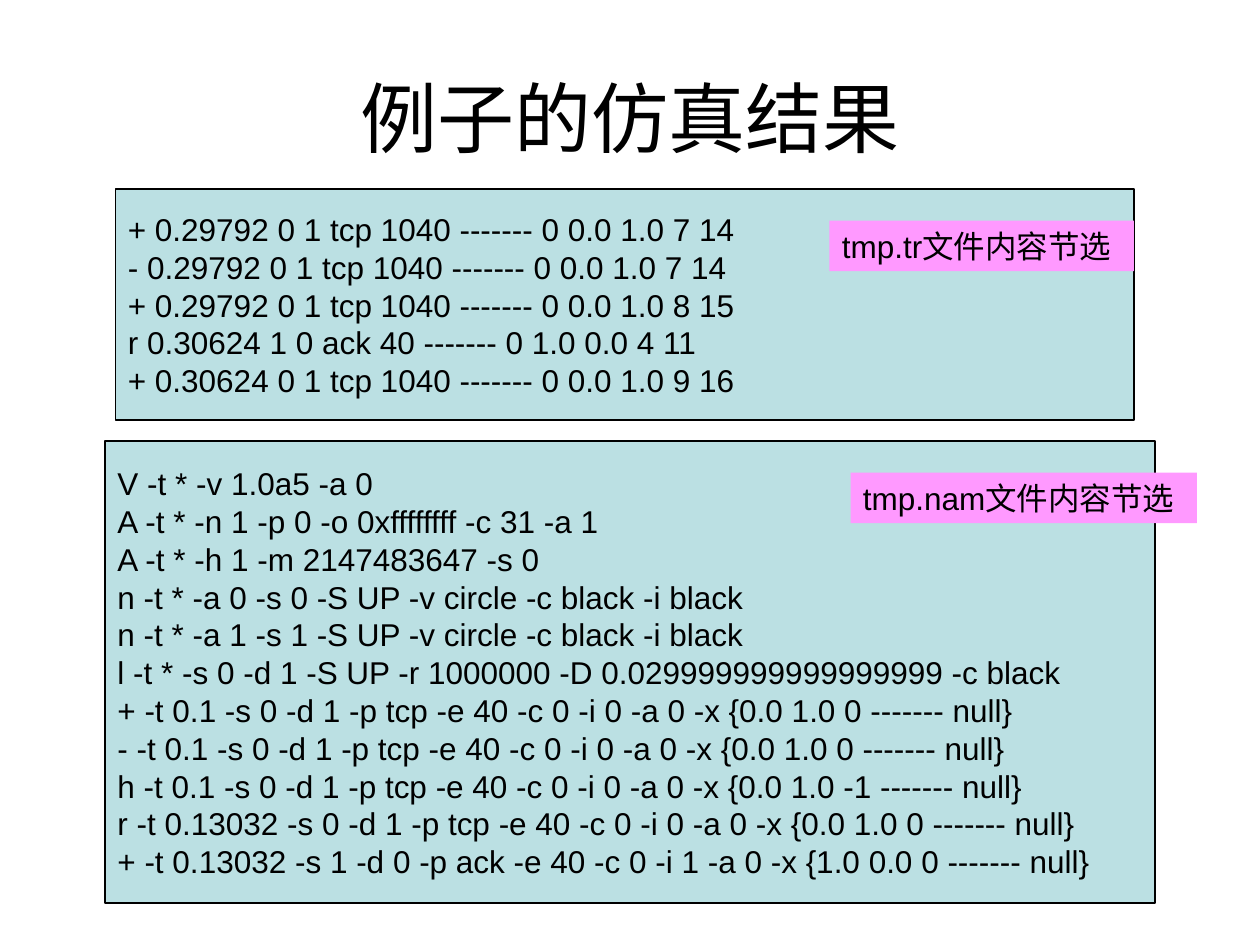
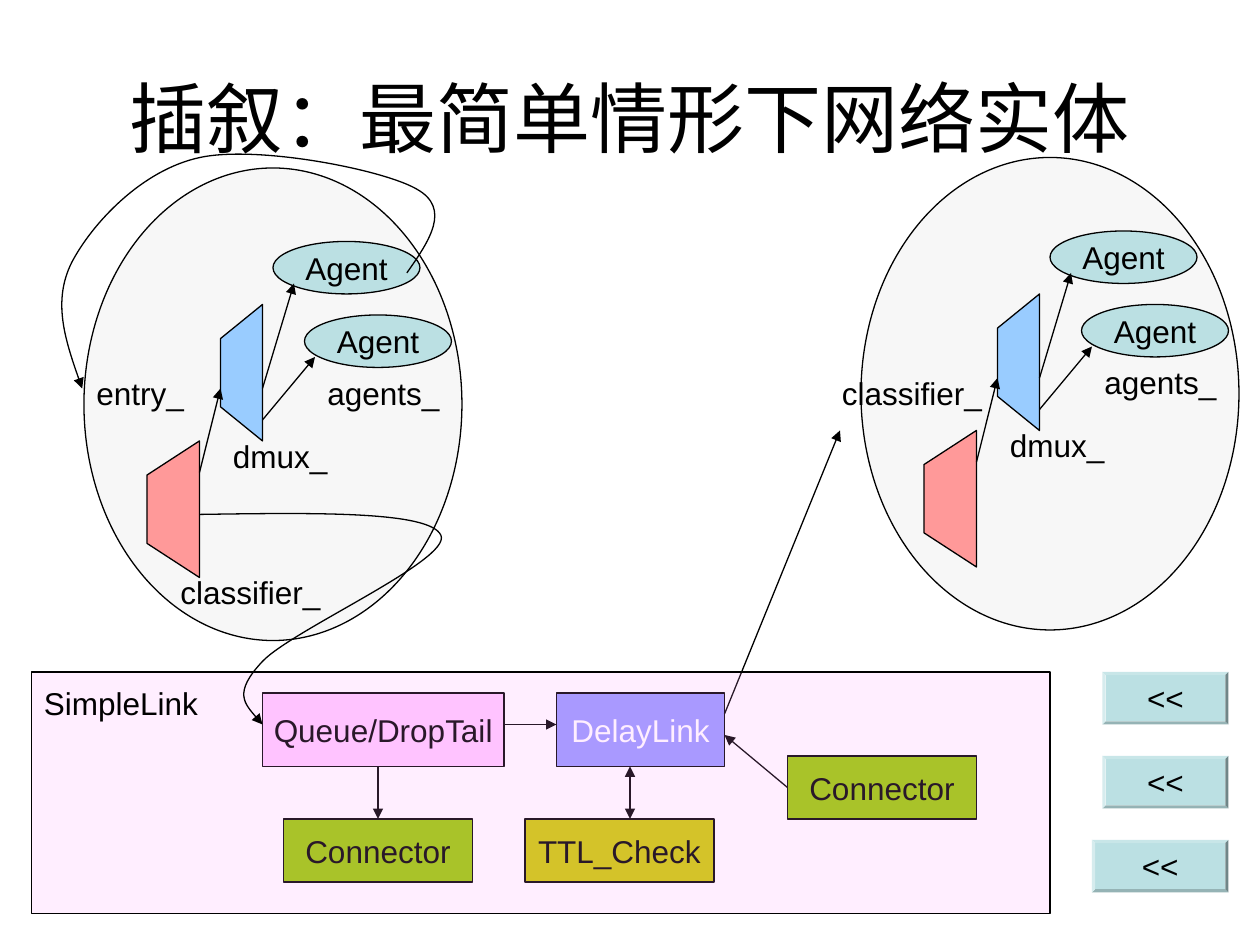
from pptx import Presentation
from pptx import util as u
from pptx.dml import color
from pptx.enum import shapes, text
from pptx.oxml import ns, xmlchemy as xml

Pt = u.Pt
KIND = shapes.MSO_SHAPE
ALIGN = text.PP_ALIGN
HUES = {
    "black": "000000", "white": "FFFFFF", "teal": "BBE0E3", "pink": "FF99FF",
    "rose": "FFCCFF", "violet": "9999FF", "gold": "CCCC00", "green": "99CC00",
    "red": "FF9999", "blue": "99CCFF", "gray": "C0C0C0",
}

TRACE = """+ 0.29792 0 1 tcp 1040 ------- 0 0.0 1.0 7 14
- 0.29792 0 1 tcp 1040 ------- 0 0.0 1.0 7 14
+ 0.29792 0 1 tcp 1040 ------- 0 0.0 1.0 8 15
r 0.30624 1 0 ack 40 ------- 0 1.0 0.0 4 11
+ 0.30624 0 1 tcp 1040 ------- 0 0.0 1.0 9 16"""

NAM = """V -t * -v 1.0a5 -a 0
A -t * -n 1 -p 0 -o 0xffffffff -c 31 -a 1
A -t * -h 1 -m 2147483647 -s 0
n -t * -a 0 -s 0 -S UP -v circle -c black -i black
n -t * -a 1 -s 1 -S UP -v circle -c black -i black
l -t * -s 0 -d 1 -S UP -r 1000000 -D 0.029999999999999999 -c black
+ -t 0.1 -s 0 -d 1 -p tcp -e 40 -c 0 -i 0 -a 0 -x {0.0 1.0 0 ------- null}
- -t 0.1 -s 0 -d 1 -p tcp -e 40 -c 0 -i 0 -a 0 -x {0.0 1.0 0 ------- null}
h -t 0.1 -s 0 -d 1 -p tcp -e 40 -c 0 -i 0 -a 0 -x {0.0 1.0 -1 ------- null}
r -t 0.13032 -s 0 -d 1 -p tcp -e 40 -c 0 -i 0 -a 0 -x {0.0 1.0 0 ------- null}
+ -t 0.13032 -s 1 -d 0 -p ack -e 40 -c 0 -i 1 -a 0 -x {1.0 0.0 0 ------- null}"""


def rgb(hue):
    return color.RGBColor.from_string(HUES[hue])


def child(node, tag, **attrs):
    item = xml.OxmlElement(tag)
    for key, value in attrs.items():
        item.set(key, value)
    node.append(item)
    return item


class Deck:
    font = "Arial"
    size = 18
    width = 0.75

    def __init__(self):
        self.prs = Presentation()
        self.prs.slide_width, self.prs.slide_height = Pt(720), Pt(540)

    def start(self, title):
        self.slide = self.prs.slides.add_slide(self.prs.slide_layouts[6])
        self.items = self.slide.shapes
        self.label(title, 36, 21.6, 648, 90, size=44, align=ALIGN.CENTER,
                   anchor=text.MSO_ANCHOR.MIDDLE)

    def letter(self, shape, words, size=size, hue="black", align=ALIGN.LEFT,
               anchor=text.MSO_ANCHOR.TOP, wrap=True):
        frame = shape.text_frame
        frame.text = words
        frame.word_wrap = wrap
        frame.vertical_anchor = anchor
        for para in frame.paragraphs:
            para.alignment = align
            for run in para.runs:
                run.font.name, run.font.size = self.font, Pt(size)
                run.font.color.rgb = rgb(hue)

    def label(self, words, x, y, w=96, h=29, **style):
        box = self.items.add_textbox(Pt(x), Pt(y), Pt(w), Pt(h))
        self.letter(box, words, **style)

    def paint(self, shape, fill=None, alpha=None, line=True):
        shape.shadow.inherit = False
        if fill:
            shape.fill.solid()
            shape.fill.fore_color.rgb = rgb(fill)
        else:
            shape.fill.background()
        if alpha:
            tone = next(shape._element.spPr.iter(ns.qn("a:srgbClr")))
            child(tone, "a:alpha", val=str(alpha * 1000))
        if line:
            self.stroke(shape)
        else:
            shape.line.fill.background()

    def stroke(self, shape, head=False, tail=False):
        shape.line.color.rgb = rgb("black")
        shape.line.width = Pt(self.width)
        ends = shape._element.spPr.find(ns.qn("a:ln"))
        for tag, on in (("a:headEnd", head), ("a:tailEnd", tail)):
            if on:
                child(ends, tag, type="triangle")

    def shape(self, kind, x, y, w, h, fill, alpha=None, line=True):
        item = self.items.add_shape(kind, Pt(x), Pt(y), Pt(w), Pt(h))
        self.paint(item, fill, alpha, line)
        return item

    def block(self, words, x, y, w, h, fill, kind=KIND.RECTANGLE,
              hue="black", line=True):
        item = self.shape(kind, x, y, w, h, fill, line=line)
        self.letter(item, words, hue=hue, align=ALIGN.CENTER,
                    anchor=text.MSO_ANCHOR.MIDDLE, wrap=False)
        return item

    def panel(self, words, x, y, w, h):
        item = self.shape(KIND.RECTANGLE, x, y, w, h, "teal")
        self.letter(item, words, anchor=text.MSO_ANCHOR.MIDDLE)

    def tag(self, words, x, y, w):
        item = self.shape(KIND.RECTANGLE, x, y, w, 29, "pink", line=False)
        self.letter(item, words)

    def button(self, x, y, w):
        item = self.block("<<", x, y, w, 30, "teal", KIND.BEVEL, line=False)
        item.adjustments[0] = 0.06

    def arrow(self, x1, y1, x2, y2, head=False, tail=True):
        item = self.items.add_connector(shapes.MSO_CONNECTOR.STRAIGHT,
                                        Pt(x1), Pt(y1), Pt(x2), Pt(y2))
        self.stroke(item, head, tail)
        child(item._element.spPr, "a:effectLst")
        return item

    def trace(self, points, close):
        spots = [(Pt(x), Pt(y)) for x, y in points]
        pen = self.items.build_freeform(*spots[0])
        pen.add_line_segments(spots[1:], close=close)
        return pen.convert_to_shape()

    def fan(self, right, top, w, fill):
        left, low, cut = right - w, top + 78, 19.5
        points = [(right, top), (right, low), (left, low - cut), (left, top + cut)]
        self.paint(self.trace(points, True), fill)

    def curve(self, points):
        item = self.trace(points, False)
        steps = list(item._element.iter(ns.qn("a:lnTo")))
        for i in range(0, len(steps), 3):
            bend = xml.OxmlElement("a:cubicBezTo")
            steps[i].addprevious(bend)
            for step in steps[i:i + 3]:
                bend.append(step[0])
                step.getparent().remove(step)
        self.paint(item, line=False)
        self.stroke(item, tail=True)

    def node(self, x, y):
        self.shape(KIND.OVAL, x, y, 216, 270, "gray", alpha=12)
        self.fan(x + 66, y + 156, 30, "red")
        self.fan(x + 102, y + 78, 24, "blue")
        for dx, dy in ((108, 42), (126, 84)):
            self.block("Agent", x + dx, y + dy, 84, 30, "teal", KIND.OVAL)
        for x1, y1, x2, y2 in ((66, 174, 78, 126), (102, 126, 120, 66),
                               (102, 144, 132, 108)):
            self.arrow(x + x1, y + y1, x + x2, y + y2)
        self.label("dmux_", x + 78, y + 150)
        self.label("agents_", x + 132, y + 114)


def results(deck):
    deck.start("例子的仿真结果")
    deck.panel(TRACE, 66, 108, 582, 132)
    deck.tag("tmp.tr文件内容节选", 474, 126, 174)
    deck.panel(NAM, 60, 252, 600, 264)
    deck.tag("tmp.nam文件内容节选", 486, 270, 198)


def network(deck):
    deck.start("插叙：最简单情形下网络实体")
    deck.node(48, 96)
    deck.block("Queue/DropTail", 150, 396, 138, 42, "rose")
    deck.block("DelayLink", 318, 396, 96, 42, "violet", hue="white")
    deck.block("TTL_Check", 300, 468, 108, 36, "gold")
    side = deck.block("Connector", 450, 432, 108, 36, "green")
    under = deck.block("Connector", 162, 468, 108, 36, "green")
    deck.arrow(288, 414, 318, 414)
    deck.arrow(216, 438, 216, 468).end_connect(under, 0)
    deck.arrow(414, 420, 450, 450, head=True, tail=False).end_connect(side, 1)
    deck.arrow(360, 438, 360, 468, head=True)
    deck.arrow(414, 408, 480, 246)
    deck.label("classifier_", 96, 324)
    deck.label("entry_", 48, 210)
    deck.node(492, 90)
    deck.label("classifier_", 474, 210)
    deck.curve([(232.5, 156), (245.5, 137.5), (258, 119), (238, 108),
                (219, 97), (147.5, 83), (114.5, 90), (81, 97), (52.5, 128),
                (41, 150), (30, 172), (38, 197), (47, 222)])
    link = deck.shape(KIND.RECTANGLE, 18, 384, 582, 138, "pink", alpha=16)
    deck.letter(link, "SimpleLink")
    link.text_frame.margin_top = Pt(7)
    deck.curve([(114, 294), (180, 293), (246, 292), (252, 306), (258, 320),
                (167, 360), (150, 378), (133, 396), (142, 405), (150, 414)])
    for row, w in enumerate((72, 72, 78)):
        deck.button(702 - w, 384 + 48 * row, w)


def main():
    deck = Deck()
    results(deck)
    network(deck)
    deck.prs.save("out.pptx")


if __name__ == "__main__":
    main()
